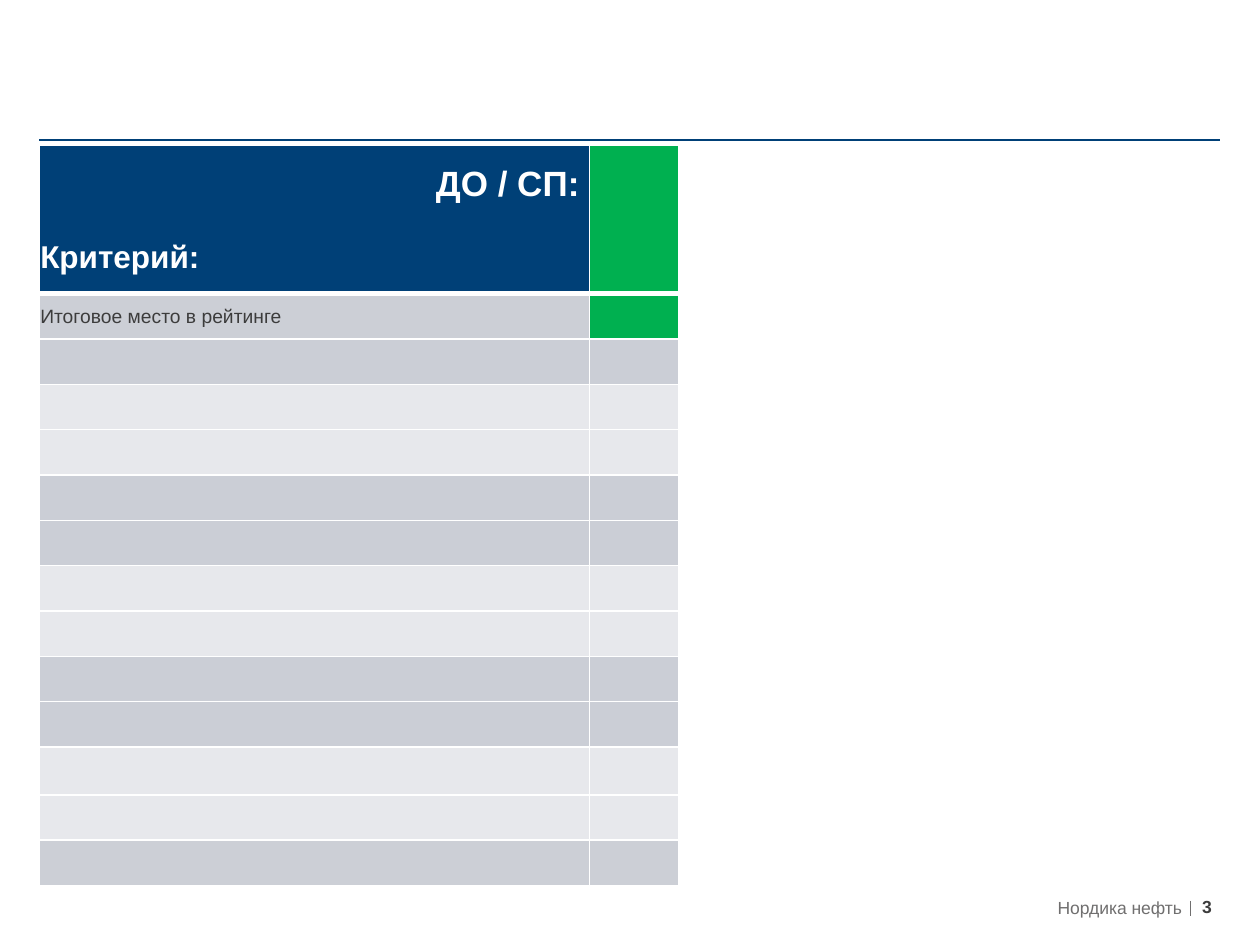
from lxml import etree
from pptx import Presentation
from pptx import util as u
from pptx.dml.color import RGBColor
from pptx.enum import shapes, text
from pptx.oxml.ns import qn

COLUMNS, ROWS = 100, 75
UNIT = u.Inches(0.1)
COLORS = {
    "navy": "004077", "green": "00B050", "edge": "CCCFD6", "dark": "CBCED6",
    "light": "E7E8EC", "white": "FFFFFF", "ink": "3C3C3C", "grey": "706F6F",
}
LEFT, RIGHT = 3.1, 96.8
COLUMN_WIDTHS = [43.7, 7.1]
ROW_HEIGHTS = [11.8] + [3.6] * 10 + [3.8] + [3.6] * 2
NO_MARGINS = dict.fromkeys(
    ("margin_left", "margin_top", "margin_right", "margin_bottom"), 0)
CELL_FORMAT = {
    "margin_left": u.Inches(0.01), "margin_top": u.Inches(0.01),
    "margin_right": u.Inches(0.01), "margin_bottom": 0,
    "vertical_anchor": text.MSO_ANCHOR.MIDDLE,
}


def grid(*cells):
    return [u.Emu(round(cell * UNIT)) for cell in cells]


def rgb(color):
    return RGBColor.from_string(COLORS[color])


def apply(target, values):
    for name, value in values.items():
        setattr(target, name, value)


def write(paragraph, wording, size, color, bold=False, **layout):
    run = paragraph.add_run()
    run.text = wording
    apply(run.font, {"name": "Arial", "size": u.Pt(size), "bold": bold})
    run.font.color.rgb = rgb(color)
    apply(paragraph, layout)


def add_rule(slide, start, end, color, width):
    rule = slide.shapes.add_connector(
        shapes.MSO_CONNECTOR.STRAIGHT, *grid(*start, *end))
    rule.line.color.rgb = rgb(color)
    rule.line.width = u.Pt(width)
    etree.SubElement(rule._element.spPr, qn("a:effectLst"))


def add_label(slide, place, wording, color, bold=False, anchor="TOP", **layout):
    frame = slide.shapes.add_textbox(*grid(*place)).text_frame
    apply(frame, {**NO_MARGINS, "word_wrap": True,
                  "vertical_anchor": text.MSO_ANCHOR[anchor]})
    write(frame.paragraphs[0], wording, 10, color, bold, **layout)


def set_borders(cell, **widths):
    properties = cell._tc.get_or_add_tcPr()
    for side in "LRTB":
        border = etree.SubElement(properties, qn(f"a:ln{side}"),
                                  w=str(u.Pt(widths.get(side, 1))))
        fill = etree.SubElement(border, qn("a:solidFill"))
        etree.SubElement(fill, qn("a:srgbClr"), val=COLORS["white"])


def cell_color(row, column):
    if row == 0:
        return ("navy", "green")[column]
    if row == 1:
        return ("edge", "green")[column]
    if row == len(ROW_HEIGHTS) - 1:
        return "edge"
    return ("dark", "light")[(row - 1) // 2 % 2]


def add_rating(slide):
    rating = slide.shapes.add_table(
        len(ROW_HEIGHTS), len(COLUMN_WIDTHS),
        *grid(LEFT, 11.5, sum(COLUMN_WIDTHS), sum(ROW_HEIGHTS))).table
    apply(rating, {"first_row": False, "horz_banding": False})
    for column, width in zip(rating.columns, grid(*COLUMN_WIDTHS)):
        column.width = width
    for row, height in enumerate(grid(*ROW_HEIGHTS)):
        rating.rows[row].height = height
        for column, cell in enumerate(rating.rows[row].cells):
            apply(cell, CELL_FORMAT)
            set_borders(cell, **({"B": 3}, {"T": 3}, {})[min(row, 2)])
            cell.fill.solid()
            cell.fill.fore_color.rgb = rgb(cell_color(row, column))

    heading = rating.cell(0, 0)
    heading.margin_right = u.Inches(0.08)
    write(heading.text_frame.paragraphs[0], "ДО / СП:", 20, "white", True,
          alignment=text.PP_ALIGN.RIGHT)
    write(heading.text_frame.add_paragraph(), "Критерий:", 18, "white", True,
          alignment=text.PP_ALIGN.LEFT, space_before=u.Pt(20.7))
    write(rating.cell(1, 0).text_frame.paragraphs[0],
          "Итоговое место в рейтинге", 11, "ink")


def main():
    deck = Presentation()
    deck.slide_width, deck.slide_height = grid(COLUMNS, ROWS)
    slide = deck.slides.add_slide(deck.slide_layouts[6])
    add_rule(slide, (LEFT, 11.1), (RIGHT, 11.1), "navy", 1)
    add_rule(slide, (94.5, 71.5), (94.5, 72.7), "grey", 0.75)
    add_label(slide, (95.4, 71.1, 2.4, 1.8), "3", "ink", bold=True)
    add_label(slide, (59.4, 71.1, 34.4, 1.8), "Нордика нефть", "grey",
              anchor="MIDDLE", alignment=text.PP_ALIGN.RIGHT)
    add_rating(slide)
    deck.save("out.pptx")


if __name__ == "__main__":
    main()
